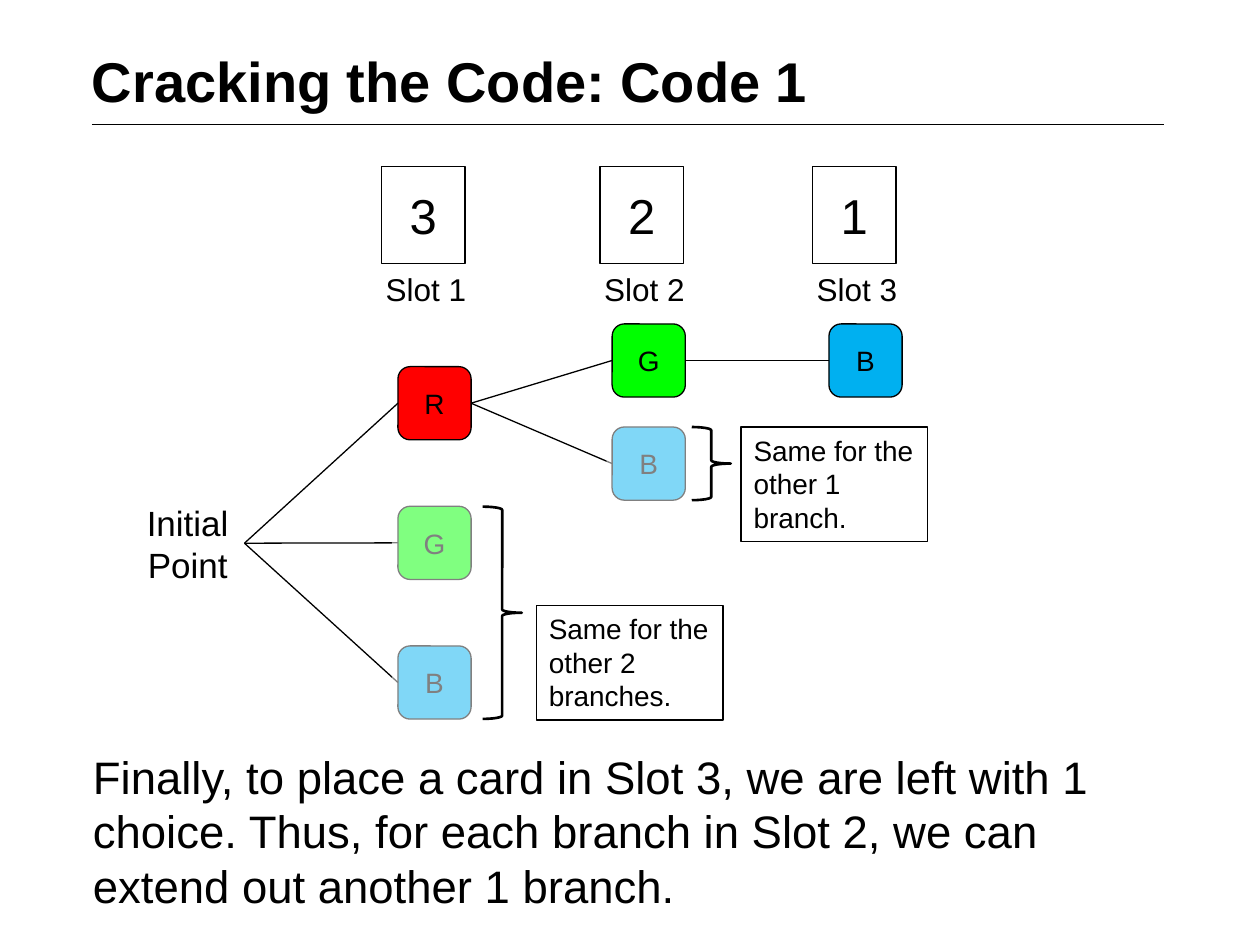
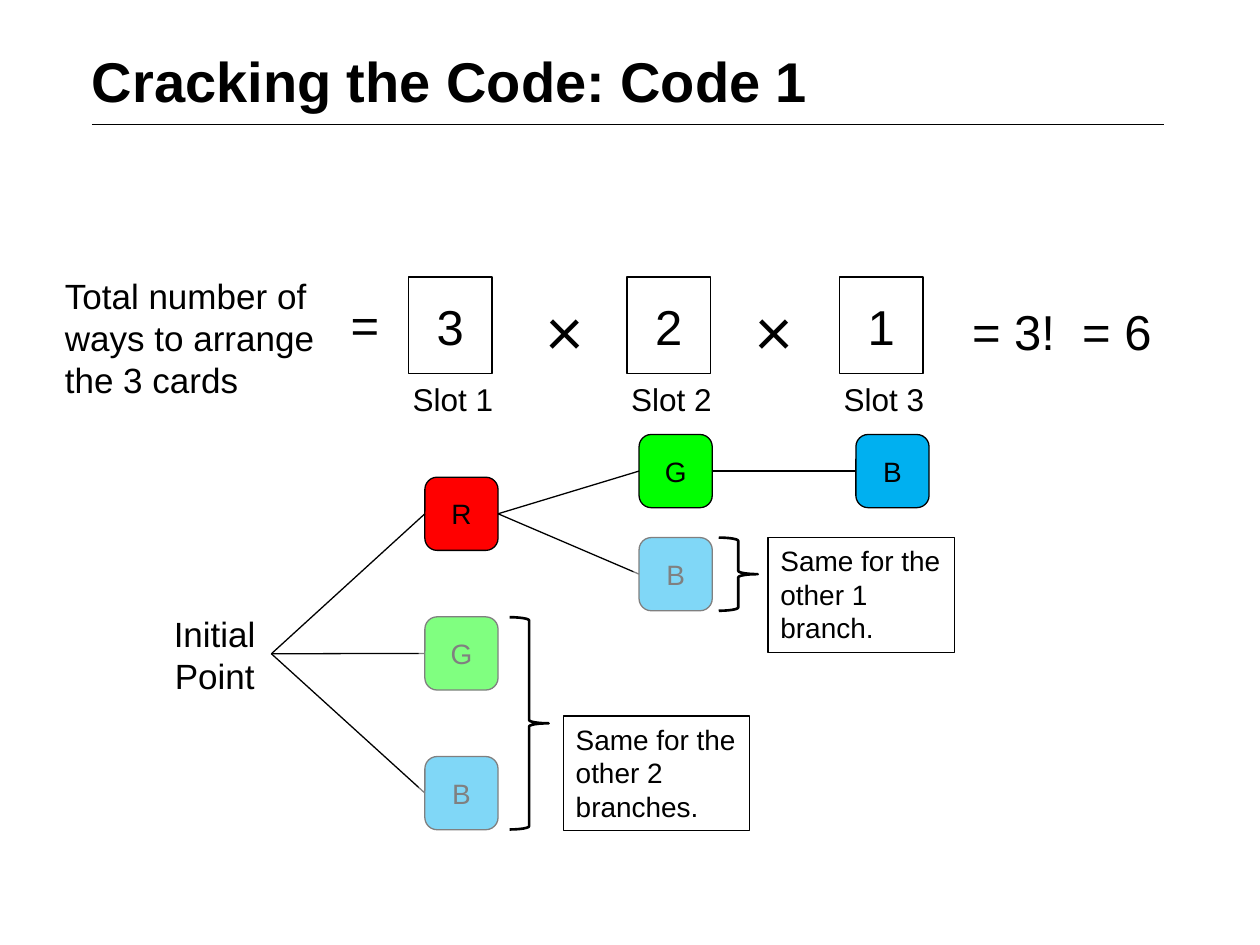
from dataclasses import dataclass

from lxml import etree
from pptx import Presentation
from pptx.dml.color import RGBColor
from pptx.enum.shapes import MSO_CONNECTOR, MSO_SHAPE
from pptx.enum.text import MSO_ANCHOR, PP_ALIGN
from pptx.oxml.ns import qn
from pptx.util import Pt

BLACK = RGBColor(0x00, 0x00, 0x00)
WHITE = RGBColor(0xFF, 0xFF, 0xFF)
RED = RGBColor(0xFF, 0x00, 0x00)
GREEN = RGBColor(0x00, 0xFF, 0x00)
BLUE = RGBColor(0x00, 0xB0, 0xF0)

BODY_FONT = "Arial"
TIMES_FONT = "Calibri"

CARD_SIZE = 41.8
SLOT_WIDTH, SLOT_HEIGHT = 47.7, 55.4
SLOT_TOP = 95.1
FIRST_CARD_LEFT, FIRST_CARD_TOP, CARD_PITCH = 227.4, 209.5, 79.8
SECOND_CARD_LEFT, THIRD_CARD_LEFT = 349.8, 473.7
UPPER_CARD_TOP, LOWER_CARD_TOP = 185.1, 244
RIGHT_SIDE, LEFT_SIDE = 3, 1


@dataclass
class Box:
    left: float
    top: float
    width: float
    height: float

    def moved(self, right: float, down: float) -> "Box":
        return Box(self.left + right, self.top + down, self.width, self.height)

    def lengths(self) -> tuple:
        return Pt(self.left), Pt(self.top), Pt(self.width), Pt(self.height)


@dataclass
class Label:
    box: Box
    text: str
    size: float
    align: PP_ALIGN = PP_ALIGN.CENTER
    font: str = BODY_FONT
    bold: bool = False


@dataclass
class Card:
    left: float
    top: float
    letter: str
    color: RGBColor


@dataclass
class Slot:
    left: float
    choices: str
    name: str


@dataclass
class Branches:
    """A faded group of cards with its brace and remark."""
    veil: Box
    brace: Box
    remark: Box
    text: str


TITLE = Label(Box(45.4, 23, 425, 54.7), "Cracking the Code: Code 1", 32,
              PP_ALIGN.LEFT, bold=True)
START = Label(Box(74.9, 283, 64.8, 54.8), "Initial Point", 20)

CARDS = [Card(FIRST_CARD_LEFT, FIRST_CARD_TOP + row * CARD_PITCH, letter, color)
         for row, (letter, color) in enumerate(
             [("R", RED), ("G", GREEN), ("B", BLUE)])]
CARDS += [
    Card(SECOND_CARD_LEFT, UPPER_CARD_TOP, "G", GREEN),
    Card(SECOND_CARD_LEFT, LOWER_CARD_TOP, "B", BLUE),
    Card(THIRD_CARD_LEFT, UPPER_CARD_TOP, "B", BLUE),
]
# Card indexes joined by a line
CARD_LINKS = [(0, 3), (0, 4), (3, 5)]

SLOTS = [
    Slot(218, "3", "Slot 1"),
    Slot(342.9, "2", "Slot 2"),
    Slot(464.3, "1", "Slot 3"),
]

BRANCHES = [
    Branches(Box(223.9, 283, 48.2, 134.6), Box(275.8, 289.5, 22.3, 121.3),
             Box(306.5, 346, 106.6, 65.5), "Same for the other 2 branches."),
    Branches(Box(346.5, 238.3, 48.2, 54), Box(395.3, LOWER_CARD_TOP, 22.3, CARD_SIZE),
             Box(423.5, LOWER_CARD_TOP, 106.6, 65.5), "Same for the other 1 branch."),
]

CONCLUSION = Label(
    Box(46, 424.2, 630, 106.6),
    "Finally, to place a card in Slot 3, we are left with 1 choice. "
    "Thus, for each branch in Slot 2, we can extend out another 1 branch.",
    26, PP_ALIGN.LEFT)

FORMULA = [
    Label(Box(302.5, 160, 40.3, 55.4), "×", 40, font=TIMES_FONT),
    Label(Box(422, 160, 40.3, 55.4), "×", 40, font=TIMES_FONT),
    Label(Box(530.8, 168.5, 152, 41), "= 3!  = 6", 28),
    Label(Box(30, 153.4, 160, 80), "Total number of ways to arrange the 3 cards",
          20, PP_ALIGN.LEFT),
    Label(Box(186.5, 165, 44, 41), "=", 28),
]


def write(shape, label: Label):
    frame = shape.text_frame
    frame.word_wrap = True
    paragraph = frame.paragraphs[0]
    paragraph.alignment = label.align
    run = paragraph.add_run()
    run.text = label.text
    run.font.name = label.font
    run.font.size = Pt(label.size)
    run.font.bold = label.bold
    run.font.color.rgb = BLACK


def add_label(slide, label: Label):
    text_box = slide.shapes.add_textbox(*label.box.lengths())
    write(text_box, label)
    return text_box


def add_outline(slide, kind: MSO_SHAPE, box: Box, fill: RGBColor | None = None,
                weight: float = 0.75):
    shape = slide.shapes.add_shape(kind, *box.lengths())
    shape.shadow.inherit = False
    if fill is None:
        shape.fill.background()
    else:
        shape.fill.solid()
        shape.fill.fore_color.rgb = fill
    if weight:
        shape.line.color.rgb = BLACK
        shape.line.width = Pt(weight)
    else:
        shape.line.fill.background()
    return shape


def add_text_shape(slide, kind: MSO_SHAPE, label: Label, fill: RGBColor | None,
                   anchor: MSO_ANCHOR = MSO_ANCHOR.MIDDLE):
    shape = add_outline(slide, kind, label.box, fill)
    write(shape, label)
    shape.text_frame.vertical_anchor = anchor
    return shape


def add_line(slide, start_x: float = 0, start_y: float = 0, end_x: float = 0,
             end_y: float = 0, weight: float = 0.75):
    line = slide.shapes.add_connector(
        MSO_CONNECTOR.STRAIGHT, Pt(start_x), Pt(start_y), Pt(end_x), Pt(end_y))
    line.line.color.rgb = BLACK
    line.line.width = Pt(weight)
    etree.SubElement(line._element.spPr, qn("a:effectLst"))
    return line


def link(slide, source, target):
    line = add_line(slide)
    line.begin_connect(source, RIGHT_SIDE)
    line.end_connect(target, LEFT_SIDE)


def add_veil(slide, box: Box):
    veil = add_outline(slide, MSO_SHAPE.RECTANGLE, box, WHITE, weight=0)
    color = veil._element.spPr.find(qn("a:solidFill")).find(qn("a:srgbClr"))
    etree.SubElement(color, qn("a:alpha"), val="50000")


def add_tree(slide, right: float, down: float):
    # Cards
    cards = []
    for card in CARDS:
        box = Box(card.left, card.top, CARD_SIZE, CARD_SIZE).moved(right, down)
        cards.append(add_text_shape(slide, MSO_SHAPE.ROUNDED_RECTANGLE,
                                    Label(box, card.letter, 16), card.color))

    # Slots with their names
    for slot in SLOTS:
        box = Box(slot.left, SLOT_TOP, SLOT_WIDTH, SLOT_HEIGHT).moved(right, down)
        add_text_shape(slide, MSO_SHAPE.RECTANGLE, Label(box, slot.choices, 28), WHITE)
        name_box = Box(box.left - 6.6, box.top + SLOT_HEIGHT, 64, 32.4)
        add_label(slide, Label(name_box, slot.name, 18))

    # Starting point and lines
    start = add_label(slide, Label(START.box.moved(right, down), START.text, START.size))
    for card in cards[:3]:
        link(slide, start, card)
    for source, target in CARD_LINKS:
        link(slide, cards[source], cards[target])

    # Faded branches
    for branches in BRANCHES:
        add_veil(slide, branches.veil.moved(right, down))
        add_outline(slide, MSO_SHAPE.RIGHT_BRACE, branches.brace.moved(right, down),
                    weight=1.5)
        remark = Label(branches.remark.moved(right, down), branches.text, 16,
                       PP_ALIGN.LEFT)
        shape = add_text_shape(slide, MSO_SHAPE.RECTANGLE, remark, None, MSO_ANCHOR.TOP)
        shape.text_frame.paragraphs[0].space_before = Pt(8)


def add_code_slide(presentation, right: float, down: float, labels: list[Label]):
    slide = presentation.slides.add_slide(presentation.slide_layouts[6])
    add_line(slide, 52.5, 71.2, 665.2, 71.2, weight=0.25)
    add_label(slide, TITLE)
    add_tree(slide, right, down)
    for label in labels:
        add_label(slide, label)


def main():
    presentation = Presentation()
    presentation.slide_width = Pt(720)
    presentation.slide_height = Pt(540)
    add_code_slide(presentation, 0, 0, [CONCLUSION])
    add_code_slide(presentation, 15.4, 63.2, FORMULA)
    presentation.save("out.pptx")


if __name__ == "__main__":
    main()
